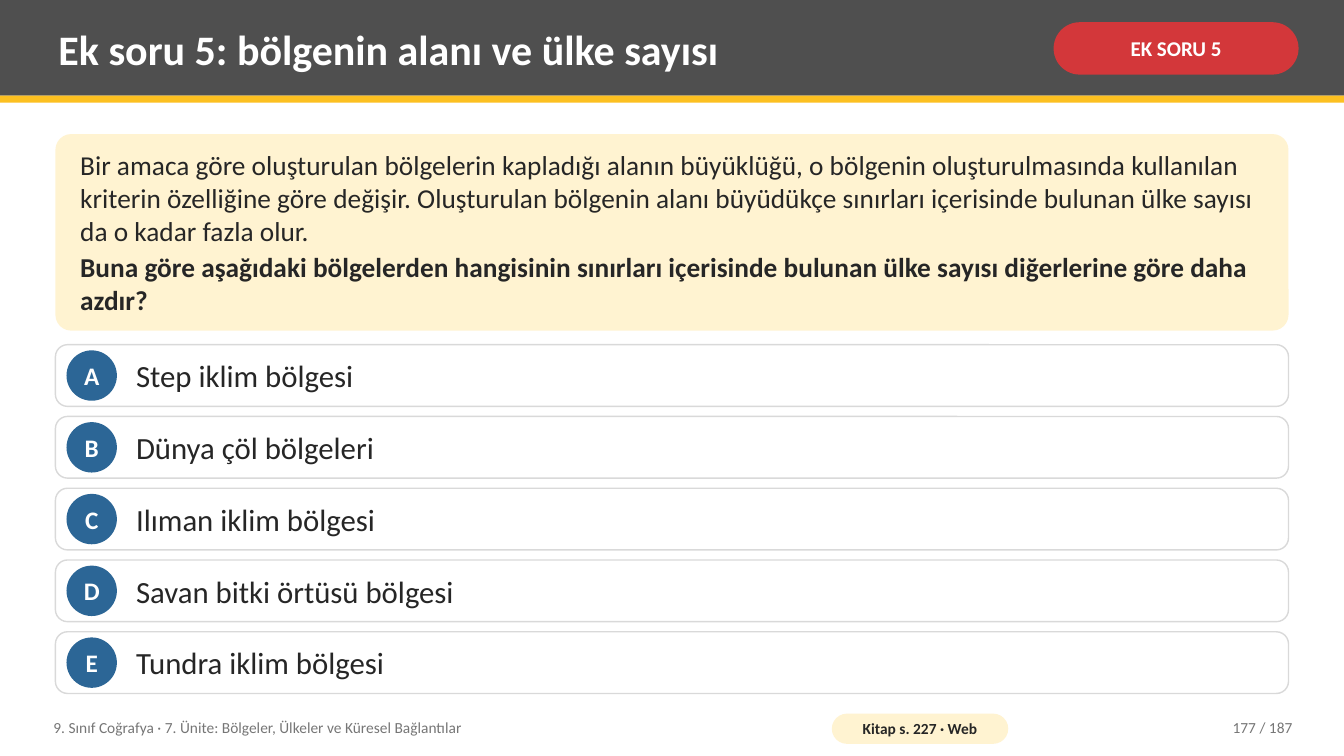
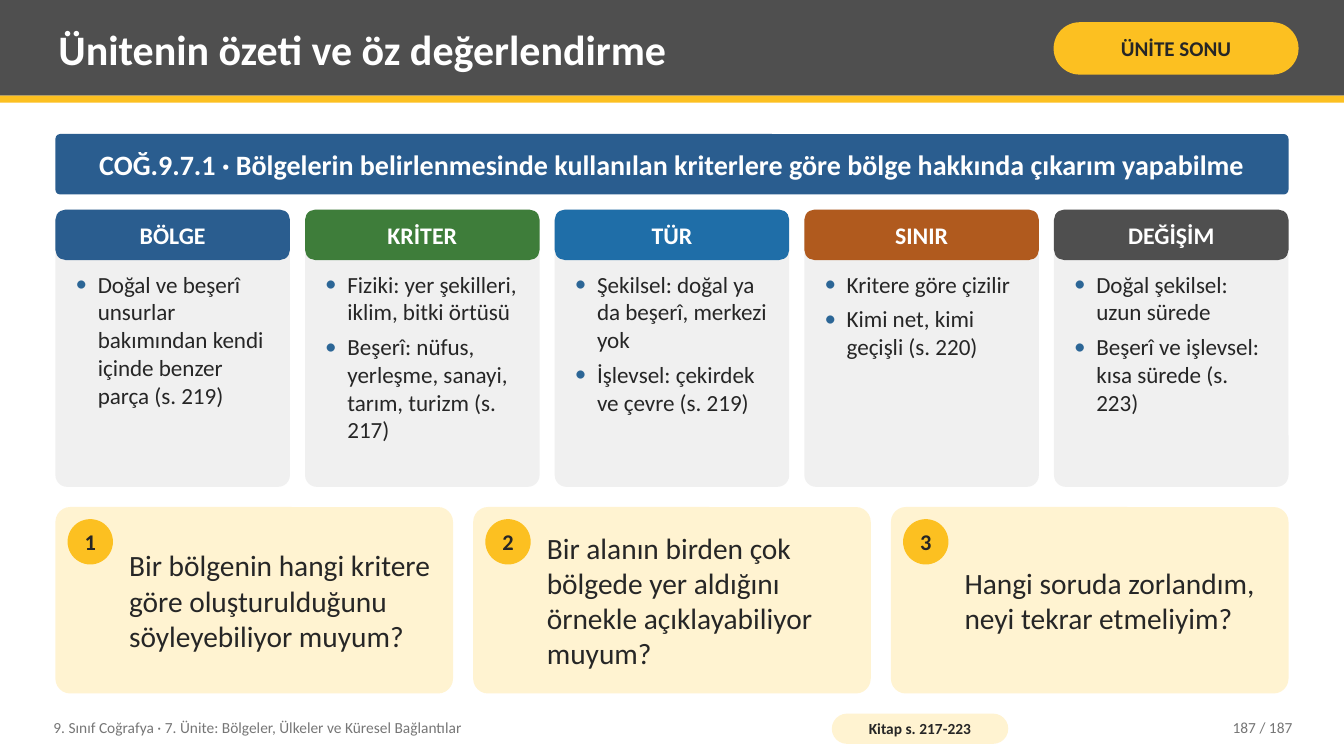
from dataclasses import dataclass

from lxml import etree
from pptx import Presentation
from pptx.dml.color import RGBColor
from pptx.enum.shapes import MSO_SHAPE as SHAPE
from pptx.enum.text import MSO_ANCHOR as ANCHOR, PP_ALIGN as ALIGN
from pptx.oxml.ns import qn
from pptx.util import Inches, Pt


@dataclass(frozen=True)
class Theme:
    font: str = "Calibri"
    white: str = "FFFFFF"
    ink: str = "262626"
    muted: str = "767676"
    border: str = "D9D9D9"
    panel: str = "F0F0F0"
    cream: str = "FFF3D1"
    charcoal: str = "4F4F4F"
    gold: str = "FCC021"
    red: str = "D3373A"
    navy: str = "2A5D8F"
    steel: str = "2C6696"
    blue: str = "1F6EA8"
    green: str = "3E7D3A"
    rust: str = "B05A1E"
    title: float = 30
    option: float = 22
    check: float = 21
    outcome: float = 20
    question: float = 19.5
    letter: float = 18
    heading: float = 17
    bullet: float = 16.5
    number: float = 16
    tag: float = 15
    footer: float = 11


T = Theme()
WIDTH, HEIGHT = 13.33, 7.5
LEFT, CONTENT_W = 0.55, 12.23
TOP, BOTTOM = 1.33, 6.88
TEXT_INSET = (0.08, 0.04)

FOOTER = "9. Sınıf Coğrafya · 7. Ünite: Bölgeler, Ülkeler ve Küresel Bağlantılar"
PAGE_COUNT = 187

QUESTION = {
    "title": "Ek soru 5: bölgenin alanı ve ülke sayısı",
    "tag": ("EK SORU 5", T.red, T.white),
    "source": "Kitap s. 227 · Web",
    "page": 177,
    "passage": "Bir amaca göre oluşturulan bölgelerin kapladığı alanın büyüklüğü, "
               "o bölgenin oluşturulmasında kullanılan kriterin özelliğine göre değişir. "
               "Oluşturulan bölgenin alanı büyüdükçe sınırları içerisinde bulunan ülke "
               "sayısı da o kadar fazla olur.",
    "prompt": "Buna göre aşağıdaki bölgelerden hangisinin sınırları içerisinde bulunan "
              "ülke sayısı diğerlerine göre daha azdır?",
    "options": ["Step iklim bölgesi", "Dünya çöl bölgeleri", "Ilıman iklim bölgesi",
                "Savan bitki örtüsü bölgesi", "Tundra iklim bölgesi"],
}

SUMMARY = {
    "title": "Ünitenin özeti ve öz değerlendirme",
    "tag": ("ÜNİTE SONU", T.gold, T.ink),
    "source": "Kitap s. 217-223",
    "page": 187,
    "outcome": "COĞ.9.7.1 · Bölgelerin belirlenmesinde kullanılan kriterlere göre "
               "bölge hakkında çıkarım yapabilme",
    "columns": [
        ("BÖLGE", T.navy,
         ["Doğal ve beşerî unsurlar bakımından kendi içinde benzer parça (s. 219)"]),
        ("KRİTER", T.green,
         ["Fiziki: yer şekilleri, iklim, bitki örtüsü",
          "Beşerî: nüfus, yerleşme, sanayi, tarım, turizm (s. 217)"]),
        ("TÜR", T.blue,
         ["Şekilsel: doğal ya da beşerî, merkezi yok",
          "İşlevsel: çekirdek ve çevre (s. 219)"]),
        ("SINIR", T.rust,
         ["Kritere göre çizilir", "Kimi net, kimi geçişli (s. 220)"]),
        ("DEĞİŞİM", T.charcoal,
         ["Doğal şekilsel: uzun sürede", "Beşerî ve işlevsel: kısa sürede (s. 223)"]),
    ],
    "checks": ["Bir bölgenin hangi kritere göre oluşturulduğunu söyleyebiliyor muyum?",
               "Bir alanın birden çok bölgede yer aldığını örnekle açıklayabiliyor muyum?",
               "Hangi soruda zorlandım, neyi tekrar etmeliyim?"],
}


def rgb(color):
    return RGBColor.from_string(color)


def split(start, length, count, gap):
    """Return the start of each equal part, and the size of one part."""
    size = (length - gap * (count - 1)) / count
    return [start + i * (size + gap) for i in range(count)], size


def add_bullet(p, indent=0.22):
    pPr = p._p.get_or_add_pPr()
    pPr.set("marL", str(Inches(indent)))
    pPr.set("indent", str(-Inches(indent)))
    color = etree.SubElement(pPr, qn("a:buClr"))
    etree.SubElement(color, qn("a:srgbClr")).set("val", T.steel)
    etree.SubElement(pPr, qn("a:buFont")).set("typeface", T.font)
    etree.SubElement(pPr, qn("a:buChar")).set("char", "•")


def write(sp, paragraphs, size, color=T.ink, bold=False, align=ALIGN.LEFT,
          anchor=ANCHOR.MIDDLE, inset=TEXT_INSET, wrap=True, gap=0, bullets=False):
    """Fill a shape with text; gap is the space between paragraphs, in points."""
    tf = sp.text_frame
    tf.word_wrap = wrap
    tf.vertical_anchor = anchor
    tf.margin_left = tf.margin_right = Inches(inset[0])
    tf.margin_top = tf.margin_bottom = Inches(inset[1])
    if isinstance(paragraphs, str):
        paragraphs = [paragraphs]
    for i, text in enumerate(paragraphs):
        p = tf.paragraphs[0] if i == 0 else tf.add_paragraph()
        if bullets:
            add_bullet(p)
        p.alignment = align
        if gap and i < len(paragraphs) - 1:
            p.space_after = Pt(gap)
        r = p.add_run()
        r.text = text
        r.font.name, r.font.size, r.font.bold = T.font, Pt(size), bold
        r.font.color.rgb = rgb(color)
    return tf


def add_box(s, box, fill, kind=SHAPE.RECTANGLE, radius=None, line=None):
    sp = s.shapes.add_shape(kind, *map(Inches, box))
    sp.shadow.inherit = False
    sp.fill.solid()
    sp.fill.fore_color.rgb = rgb(fill)
    if line:
        sp.line.color.rgb = rgb(line)
        sp.line.width = Pt(1)
    else:
        sp.line.fill.background()
    if radius is not None:
        sp.adjustments[0] = radius
    return sp


def add_round(s, box, fill, radius, line=None):
    return add_box(s, box, fill, SHAPE.ROUNDED_RECTANGLE, radius, line)


def add_text(s, box, text, size, **style):
    write(s.shapes.add_textbox(*map(Inches, box)), text, size, **style)


def add_badge(s, x, y, diameter, fill, label, size, color):
    sp = add_box(s, (x, y, diameter, diameter), fill, SHAPE.OVAL)
    write(sp, label, size, color, True, ALIGN.CENTER, inset=(0, 0), wrap=False)


def add_slide(prs, content):
    """Start a slide with its title band, tag and footer."""
    s = prs.slides.add_slide(prs.slide_layouts[6])
    add_box(s, (0, 0, WIDTH, 0.95), T.charcoal)
    add_box(s, (0, 0.95, WIDTH, 0.07), T.gold)
    add_text(s, (0.5, 0.07, 9.75, 0.82), content["title"], T.title,
             color=T.white, bold=True)
    tag, fill, color = content["tag"]
    write(add_round(s, (10.45, 0.22, 2.43, 0.52), fill, 0.5), tag, T.tag, color,
          True, ALIGN.CENTER, inset=(0.05, 0.02))
    add_text(s, (0.45, 7.04, 7.6, 0.36), FOOTER, T.footer, color=T.muted)
    write(add_round(s, (8.25, 7.08, 1.75, 0.3), T.cream, 0.5), content["source"],
          T.footer, bold=True, align=ALIGN.CENTER, inset=(0.04, 0))
    add_text(s, (11.3, 7.04, 1.6, 0.36), f"{content['page']} / {PAGE_COUNT}",
             T.footer, color=T.muted, align=ALIGN.RIGHT)
    return s


def build_question(prs, content):
    s = add_slide(prs, content)
    panel = add_round(s, (LEFT, TOP, CONTENT_W, 1.95), T.cream, 0.08)
    tf = write(panel, [content["passage"], content["prompt"]], T.question,
               inset=(0.2, 0.08), gap=2.8)
    tf.paragraphs[1].runs[0].font.bold = True

    options, top, badge = content["options"], 3.42, 0.5
    rows, h = split(top, BOTTOM - top, len(options), 0.1)
    for letter, option, y in zip("ABCDE", options, rows):
        add_round(s, (LEFT, y, CONTENT_W, h), T.white, 0.12 / h, T.border)
        add_badge(s, LEFT + 0.11, y + (h - badge) / 2, badge, T.steel, letter,
                  T.letter, T.white)
        add_text(s, (LEFT + 0.72, y, CONTENT_W - 0.82, h), option, T.option)


def build_summary(prs, content):
    s = add_slide(prs, content)
    write(add_round(s, (LEFT, TOP, CONTENT_W, 0.6), T.navy, 0.08), content["outcome"],
          T.outcome, T.white, True, ALIGN.CENTER, inset=(0.14, 0.08))

    columns, y, h, head = content["columns"], 2.08, 2.75, 0.5
    lefts, w = split(LEFT, CONTENT_W, len(columns), 0.15)
    for (heading, color, items), x in zip(columns, lefts):
        add_round(s, (x, y, w, h), T.panel, 0.05)
        write(add_round(s, (x, y, w, head), color, 0.2), heading, T.heading, T.white,
              True, ALIGN.CENTER, inset=(0.06, 0))
        add_text(s, (x + 0.12, y + head + 0.06, w - 0.24, h - head - 0.12), items,
                 T.bullet, anchor=ANCHOR.TOP, gap=5, bullets=True)

    checks, y = content["checks"], 5.03
    h = BOTTOM - y
    lefts, w = split(LEFT, CONTENT_W, len(checks), 0.2)
    for number, (check, x) in enumerate(zip(checks, lefts), 1):
        add_round(s, (x, y, w, h), T.cream, 0.08)
        add_badge(s, x + 0.12, y + 0.12, 0.45, T.gold, str(number), T.number, T.ink)
        add_text(s, (x + 0.65, y + 0.05, w - 0.75, h - 0.1), check, T.check)


def main():
    prs = Presentation()
    prs.slide_width, prs.slide_height = Inches(WIDTH), Inches(HEIGHT)
    build_question(prs, QUESTION)
    build_summary(prs, SUMMARY)
    prs.save("out.pptx")


if __name__ == "__main__":
    main()
